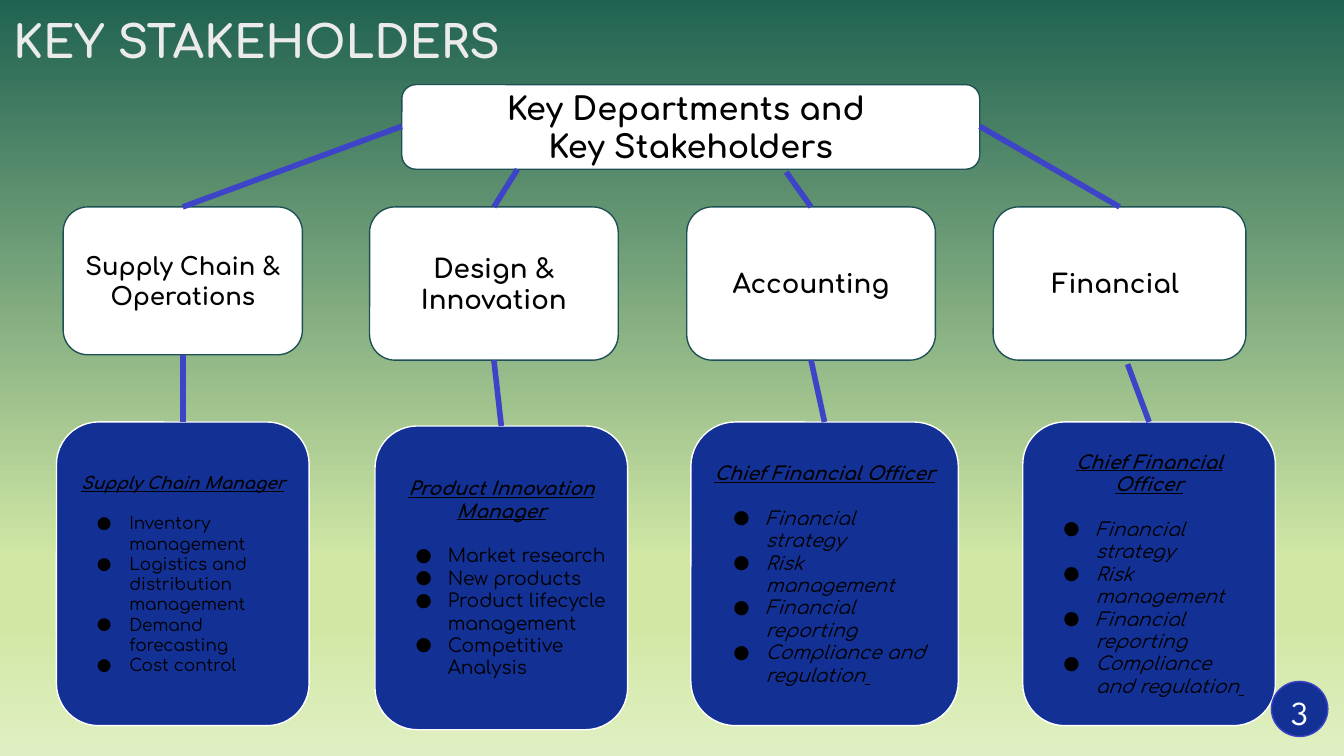
import dataclasses
import typing

import lxml.etree
import pptx
import pptx.dml.color
import pptx.enum.shapes
import pptx.enum.text
import pptx.oxml.ns
import pptx.util

Inches = pptx.util.Inches
Pt = pptx.util.Pt
Shape = pptx.enum.shapes.MSO_SHAPE
Align = pptx.enum.text.PP_ALIGN
Anchor = pptx.enum.text.MSO_ANCHOR
qn = pptx.oxml.ns.qn

COLORS = {
    "white": "FFFFFF", "black": "000000", "title": "EBEBEB",
    "outline": "1E5155", "navy": "133095", "link": "3D44C8",
}
BACKGROUND_STOPS = [(0, "206252"), (74, "D1E8A5"), (83, "D1E8A5"), (100, "E0EFC3")]
FONT = "Comfortaa"
Point = tuple[float, float]


@dataclasses.dataclass(frozen=True)
class Rect:
    left: float
    top: float
    width: float
    height: float

    @property
    def top_center(self) -> Point:
        return self.left + self.width / 2, self.top

    @property
    def bottom_center(self) -> Point:
        return self.left + self.width / 2, self.top + self.height

    def lengths(self) -> list[int]:
        return [Inches(value) for value in dataclasses.astuple(self)]


@dataclasses.dataclass(frozen=True)
class Branch:
    department: str
    department_size: int
    department_rect: Rect
    link_start: Point
    role: str
    role_size: int
    role_rect: Rect
    duties: tuple[str, ...]
    italic_duties: bool = False
    duty_indent: float = 0.38
    stem_start: typing.Optional[Point] = None


FINANCE_DUTIES = ("Financial strategy", "Risk management", "Financial reporting",
                  "Compliance and regulation")
HEADER_RECT = Rect(2.99, 0.63, 4.3, 0.63)
BRANCHES = [
    Branch("Supply Chain & Operations", 13, Rect(0.47, 1.54, 1.78, 1.1), (2.99, 0.94),
           "Supply Chain Manager", 9, Rect(0.42, 3.14, 1.88, 2.26),
           ("Inventory management", "Logistics and distribution management",
            "Demand forecasting", "Cost control")),
    Branch("Design & Innovation", 14, Rect(2.75, 1.54, 1.85, 1.14), (3.85, 1.26),
           "Product Innovation Manager", 10, Rect(2.79, 3.17, 1.88, 2.26),
           ("Market research", "New products", "Product lifecycle management",
            "Competitive Analysis")),
    Branch("Accounting", 14, Rect(5.11, 1.54, 1.85, 1.14), (5.85, 1.28),
           "Chief Financial Officer", 10, Rect(5.14, 3.14, 1.99, 2.26),
           FINANCE_DUTIES, italic_duties=True, duty_indent=0.39),
    Branch("Financial ", 14, Rect(7.39, 1.54, 1.88, 1.14), (7.29, 0.94),
           "Chief Financial Officer", 10, Rect(7.61, 3.14, 1.88, 2.26),
           FINANCE_DUTIES, italic_duties=True, stem_start=(8.39, 2.71)),
]


def rgb(name: str) -> pptx.dml.color.RGBColor:
    return pptx.dml.color.RGBColor.from_string(COLORS[name])


def paint_background(page) -> None:
    fill = page.background.fill
    fill.gradient()
    fill.gradient_angle = 270
    stops = page.element.xpath(".//a:gsLst")[0]
    for stop in list(stops):
        stops.remove(stop)
    for percent, color in BACKGROUND_STOPS:
        stop = lxml.etree.SubElement(stops, qn("a:gs"), pos=str(percent * 1000))
        lxml.etree.SubElement(stop, qn("a:srgbClr"), val=color)


def set_frame(frame, inset: float, anchor) -> None:
    frame.word_wrap = True
    frame.vertical_anchor = anchor
    frame.margin_left = frame.margin_right = Inches(inset)
    frame.margin_top = frame.margin_bottom = Inches(inset)


def add_run(para, text: str, size: int, color: str = "black", font: str = FONT,
            bold: bool = False, italic: bool = False, underline: bool = False) -> None:
    run = para.add_run()
    run.text = text
    run.font.name = font
    run.font.size = Pt(size)
    run.font.color.rgb = rgb(color)
    run.font.bold = bold
    run.font.italic = italic
    run.font.underline = underline


def add_text(page, rect: Rect, text: str, size: int, color: str, font: str,
             bold: bool, align) -> None:
    box = page.shapes.add_textbox(*rect.lengths())
    set_frame(box.text_frame, 0.1, Anchor.TOP)
    para = box.text_frame.paragraphs[0]
    para.alignment = align
    add_run(para, text, size, color, font, bold)


def add_panel(page, kind, rect: Rect, fill: str, line: str):
    panel = page.shapes.add_shape(kind, *rect.lengths())
    panel.shadow.inherit = False
    panel.fill.solid()
    panel.fill.fore_color.rgb = rgb(fill)
    panel.line.color.rgb = rgb(line)
    panel.line.width = Pt(0.75)
    set_frame(panel.text_frame, 0.07, Anchor.MIDDLE)
    return panel


def add_label_box(page, rect: Rect, lines: typing.Sequence[str], size: int) -> None:
    frame = add_panel(page, Shape.ROUNDED_RECTANGLE, rect, "white", "outline").text_frame
    for index, text in enumerate(lines):
        para = frame.add_paragraph() if index else frame.paragraphs[0]
        para.alignment = Align.CENTER
        add_run(para, text, size, bold=True)


def set_bullet(para, size: int, indent: float) -> None:
    properties = para._p.get_or_add_pPr()
    properties.set("marL", str(Inches(indent)))
    properties.set("indent", str(Inches(-0.24)))
    color = lxml.etree.SubElement(properties, qn("a:buClr"))
    lxml.etree.SubElement(color, qn("a:srgbClr"), val=COLORS["black"])
    lxml.etree.SubElement(properties, qn("a:buSzPts"), val=str(size * 100))
    lxml.etree.SubElement(properties, qn("a:buFont"), typeface=FONT)
    lxml.etree.SubElement(properties, qn("a:buChar"), char="●")


def add_role_box(page, branch: Branch) -> None:
    frame = add_panel(page, Shape.ROUNDED_RECTANGLE, branch.role_rect,
                      "navy", "white").text_frame
    size = branch.role_size
    heading = frame.paragraphs[0]
    heading.alignment = Align.CENTER
    heading.space_after = Pt(size * 1.2)
    add_run(heading, branch.role, size, bold=True, italic=True, underline=True)
    for duty in branch.duties:
        para = frame.add_paragraph()
        para.alignment = Align.LEFT
        set_bullet(para, size, branch.duty_indent)
        add_run(para, duty, size, italic=branch.italic_duties)
    if branch.italic_duties:
        add_run(para, " ", size, italic=True, underline=True)


def add_link(page, start: Point, end: Point) -> None:
    link = page.shapes.add_connector(
        pptx.enum.shapes.MSO_CONNECTOR.STRAIGHT,
        *[Inches(value) for value in (*start, *end)])
    link.line.color.rgb = rgb("link")
    link.line.width = Pt(3)
    lxml.etree.SubElement(link.element.spPr, qn("a:effectLst"))


def main() -> None:
    deck = pptx.Presentation()
    deck.slide_width = Inches(10)
    deck.slide_height = deck.slide_width * 9 // 16
    page = deck.slides.add_slide(deck.slide_layouts[6])
    paint_background(page)

    add_text(page, Rect(0, 0, 4.42, 0.63), "KEY STAKEHOLDERS", 24, "title", FONT,
             True, Align.LEFT)
    add_label_box(page, HEADER_RECT, ["Key Departments and ", "Key Stakeholders"], 17)
    for branch in BRANCHES:
        department = branch.department_rect
        add_label_box(page, department, [branch.department], branch.department_size)
        add_role_box(page, branch)
        add_link(page, branch.link_start, department.top_center)
        add_link(page, branch.stem_start or department.bottom_center,
                 branch.role_rect.top_center)

    add_panel(page, Shape.OVAL, Rect(9.46, 5.07, 0.42, 0.41), "navy", "link")
    add_text(page, Rect(9.48, 5.05, 0.38, 0.46), "3", 18, "white", "League Spartan",
             False, Align.CENTER)
    deck.save("out.pptx")


if __name__ == "__main__":
    main()
